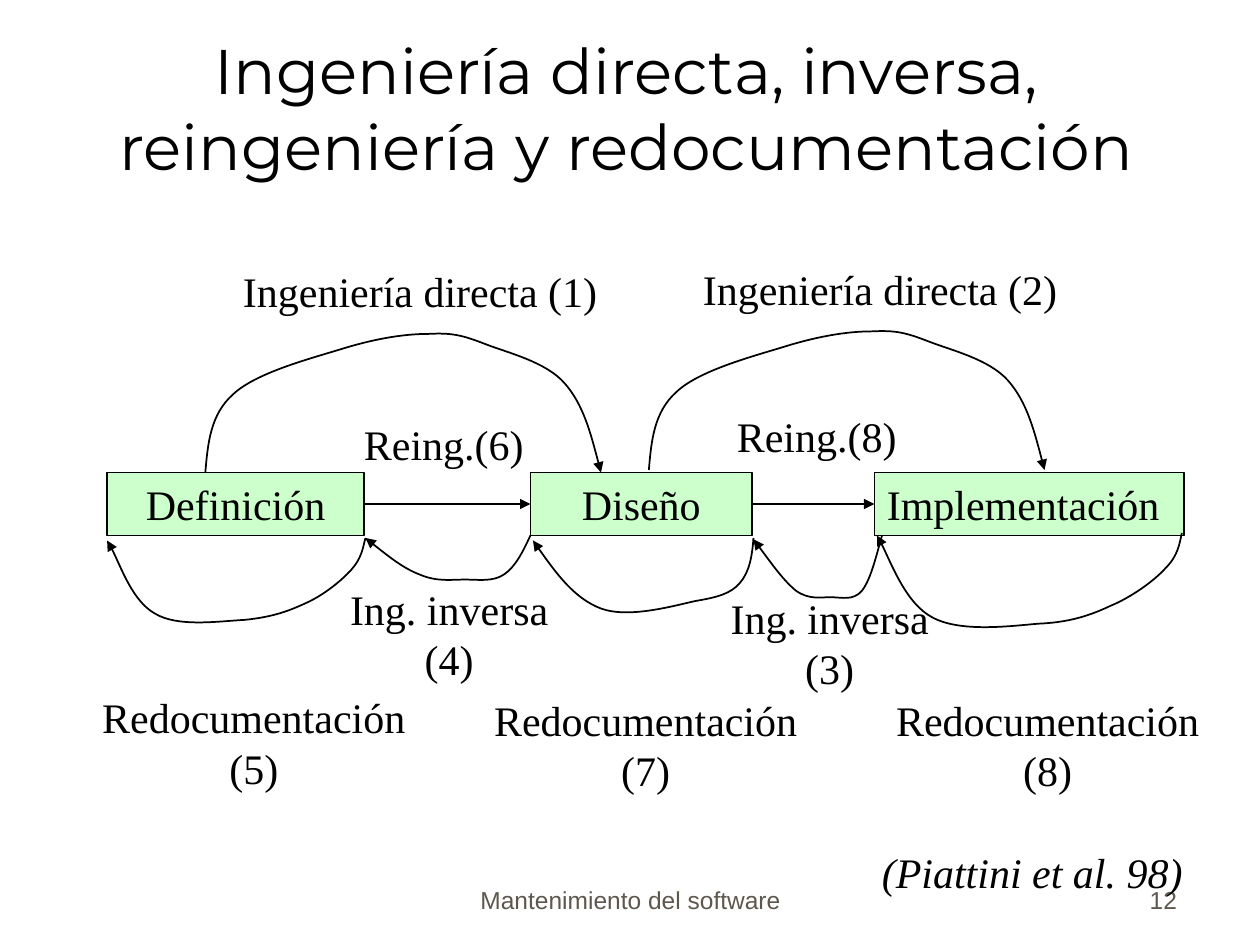
from lxml import etree
from pptx import Presentation
from pptx import util as u
from pptx.dml import color
from pptx.enum import shapes, text
from pptx.oxml import ns

COLORS = {"ink": "000000", "box": "CCFFCC", "footer": "5E574E"}
LEFT, CENTER, RIGHT = text.PP_ALIGN.LEFT, text.PP_ALIGN.CENTER, text.PP_ALIGN.RIGHT
TOP, BOTTOM = text.MSO_ANCHOR.TOP, text.MSO_ANCHOR.BOTTOM


def write(shape, words, align=LEFT, anchor=TOP, size=24, font="Times New Roman",
          ink="ink", italic=False):
    frame = shape.text_frame
    frame.text = words
    frame.word_wrap = True
    frame.auto_size = text.MSO_AUTO_SIZE.NONE
    frame.vertical_anchor = anchor
    para = frame.paragraphs[0]
    para.alignment = align
    span = para.runs[0]
    span.font.size = u.Pt(size)
    span.font.name = font
    span.font.italic = italic
    span.font.color.rgb = color.RGBColor.from_string(COLORS[ink])


def draw_arrow(shape):
    shape.line.color.rgb = color.RGBColor.from_string(COLORS["ink"])
    shape.line.width = u.Pt(1)
    properties = shape._element.spPr
    etree.SubElement(properties.find(ns.qn("a:ln")), ns.qn("a:tailEnd"), type="triangle")
    if properties.find(ns.qn("a:effectLst")) is None:
        etree.SubElement(properties, ns.qn("a:effectLst"))


deck = Presentation()
deck.slide_width, deck.slide_height = u.Inches(10), u.Inches(7.5)
page = deck.slides.add_slide(deck.slide_layouts[5])

# Title
title = page.shapes.title
title.left, title.top = u.Inches(0.44), u.Inches(0.25)
title.width, title.height = u.Inches(9.06), u.Inches(1.25)
write(title, "Ingeniería directa, inversa, reingeniería y redocumentación",
      CENTER, BOTTOM, 36, "Montserrat")

# Footer and page number
for words, left, width, align in [("Mantenimiento del software", 3.42, 3.17, CENTER),
                                  ("12", 7.36, 2.08, RIGHT)]:
    box = page.shapes.add_textbox(u.Inches(left), u.Inches(6.81), u.Inches(width), u.Inches(0.5))
    write(box, words, align, BOTTOM, 14, "Arial", "footer")

# Phase boxes
phases = []
for words, left, width, align in [("Definición", 0.85, 2.04, CENTER),
                                  ("Diseño", 4.21, 1.76, CENTER),
                                  ("Implementación", 6.94, 2.46, LEFT)]:
    box = page.shapes.add_shape(shapes.MSO_SHAPE.RECTANGLE, u.Inches(left), u.Inches(3.75),
                                u.Inches(width), u.Inches(0.5))
    box.shadow.inherit = False
    box.fill.solid()
    box.fill.fore_color.rgb = color.RGBColor.from_string(COLORS["box"])
    box.line.color.rgb = color.RGBColor.from_string(COLORS["ink"])
    box.line.width = u.Pt(1)
    write(box, words, align)
    phases.append(box)

# Straight arrows between neighbouring phases
for before, after in zip(phases, phases[1:]):
    arrow = page.shapes.add_connector(shapes.MSO_CONNECTOR.STRAIGHT, 0, 0, 0, 0)
    arrow.begin_connect(before, 3)
    arrow.end_connect(after, 1)
    draw_arrow(arrow)

# Curved arrows: a start point, then three Bézier points per segment
forward = [(1.63, 3.75), (1.65, 3.52), (1.67, 3.29), (1.85, 3.13),
           (2.03, 2.96), (2.45, 2.85), (2.71, 2.77), (2.97, 2.69), (3.2, 2.65), (3.4, 2.65),
           (3.59, 2.64), (3.67, 2.66), (3.85, 2.73), (4.03, 2.8), (4.33, 2.87), (4.48, 3.04),
           (4.63, 3.21), (4.7, 3.48), (4.77, 3.75)]
curves = [
    forward,
    [(x + 3.52, y - 0.02) for x, y in forward],
    # Redocumentation loops
    [(2.9, 4.27), (2.88, 4.35), (2.87, 4.43), (2.79, 4.52),
     (2.71, 4.61), (2.56, 4.73), (2.42, 4.79), (2.27, 4.86), (2.14, 4.9), (1.94, 4.92),
     (1.74, 4.93), (1.41, 4.98), (1.23, 4.87), (1.05, 4.77), (0.92, 4.39), (0.85, 4.29)],
    [(9.38, 4.23), (9.36, 4.32), (9.35, 4.41), (9.25, 4.51),
     (9.16, 4.61), (8.98, 4.74), (8.81, 4.81), (8.64, 4.89), (8.48, 4.94), (8.24, 4.95),
     (8.01, 4.97), (7.62, 5.02), (7.4, 4.9), (7.19, 4.79), (7.03, 4.36), (6.96, 4.25)],
    [(5.98, 4.27), (5.97, 4.41), (5.95, 4.54), (5.87, 4.63),
     (5.8, 4.71), (5.7, 4.74), (5.52, 4.77), (5.34, 4.81), (4.99, 4.91), (4.77, 4.83),
     (4.56, 4.75), (4.39, 4.52), (4.23, 4.29)],
    # Reverse engineering
    [(4.21, 4.25), (4.15, 4.38), (4.09, 4.5), (4, 4.56),
     (3.91, 4.62), (3.8, 4.6), (3.69, 4.6), (3.58, 4.6), (3.47, 4.62), (3.33, 4.56),
     (3.2, 4.51), (3.05, 4.39), (2.9, 4.27)],
    [(7, 4.25), (6.95, 4.43), (6.91, 4.6), (6.84, 4.69),
     (6.77, 4.77), (6.68, 4.74), (6.59, 4.74), (6.51, 4.74), (6.42, 4.76), (6.32, 4.69),
     (6.22, 4.61), (6.1, 4.44), (5.98, 4.28)],
]
for curve in curves:
    points = [(u.Inches(x), u.Inches(y)) for x, y in curve]
    builder = page.shapes.build_freeform(*points[0])
    builder.add_line_segments(points[1:], close=False)
    arrow = builder.convert_to_shape()
    arrow.shadow.inherit = False
    arrow.fill.background()
    # Turn every three line segments into one cubic Bézier segment
    lines = list(arrow._element.iter(ns.qn("a:lnTo")))
    outline = lines[0].getparent()
    for first in range(0, len(lines), 3):
        segment = etree.SubElement(outline, ns.qn("a:cubicBezTo"))
        for line in lines[first:first + 3]:
            segment.append(line[0])
            outline.remove(line)
    draw_arrow(arrow)

# Labels: one line high, or two lines high and centred
for words, left, top, width, rows in [
    ("Ingeniería directa (1)", 1.83, 2.06, 3.02, 1),
    ("Ingeniería directa (2)", 5.48, 2.04, 3.02, 1),
    ("Reing.(6)", 2.79, 3.27, 1.52, 1),
    ("Reing.(8)", 5.75, 3.21, 1.52, 1),
    ("Redocumentación (5)", 0.6, 5.44, 2.83, 2),
    ("Redocumentación (7)", 3.71, 5.46, 2.83, 2),
    ("Redocumentación (8)", 6.9, 5.46, 2.83, 2),
    ("Ing. inversa (4)", 2.65, 4.58, 1.83, 2),
    ("Ing. inversa (3)", 5.67, 4.65, 1.83, 2),
]:
    box = page.shapes.add_textbox(u.Inches(left), u.Inches(top), u.Inches(width),
                                  u.Inches(0.1 + 0.4 * rows))
    write(box, words, CENTER if rows == 2 else LEFT)

# Citation
box = page.shapes.add_textbox(u.Inches(6.9), u.Inches(6.67), u.Inches(2.75), u.Inches(0.5))
write(box, "(Piattini et al. 98)", italic=True)

deck.save("out.pptx")
